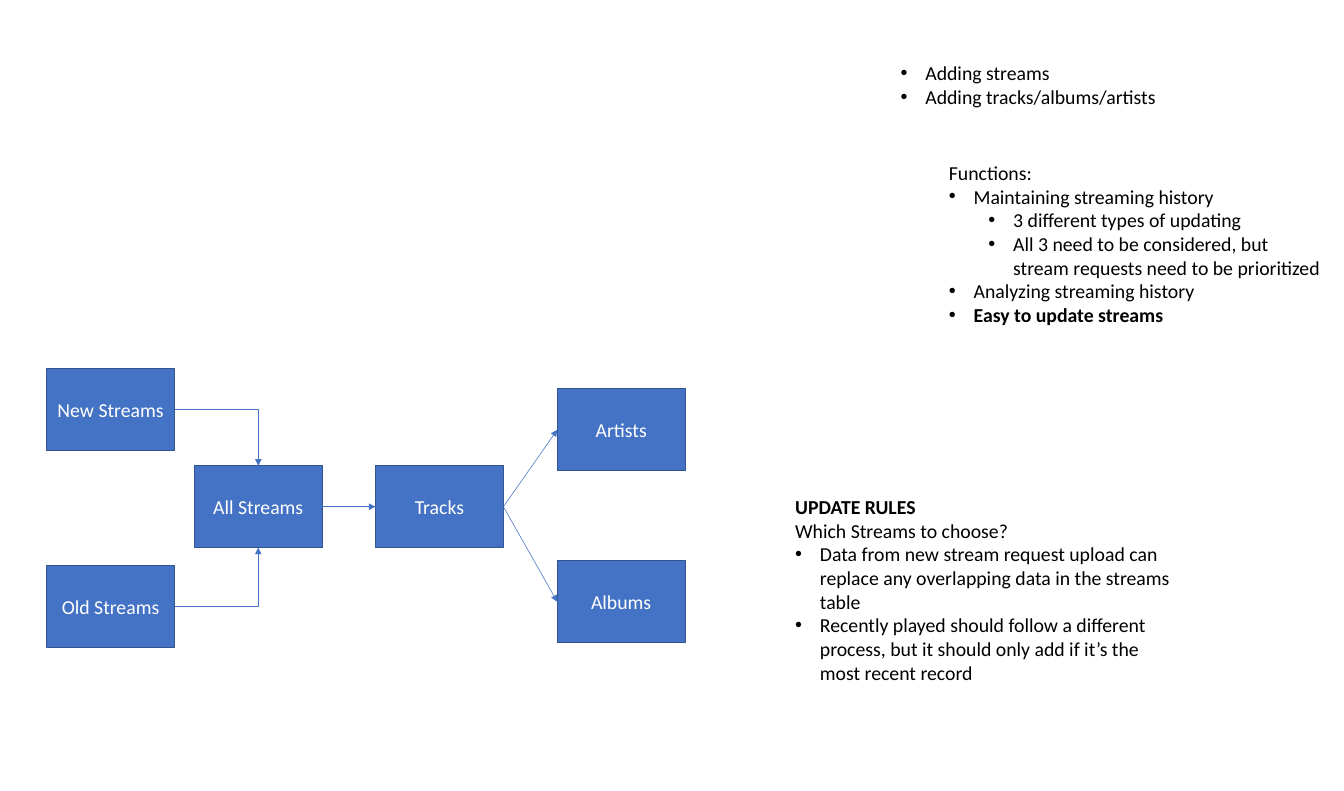
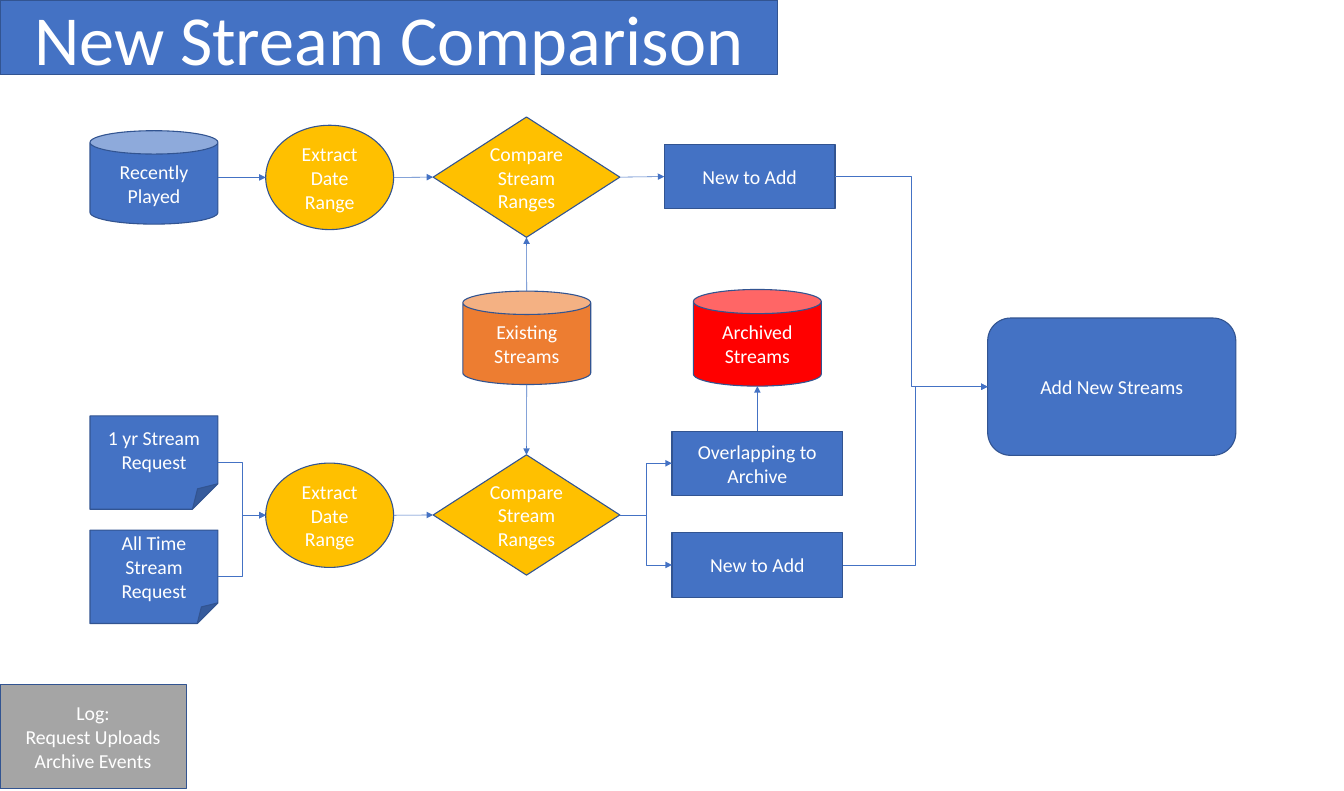
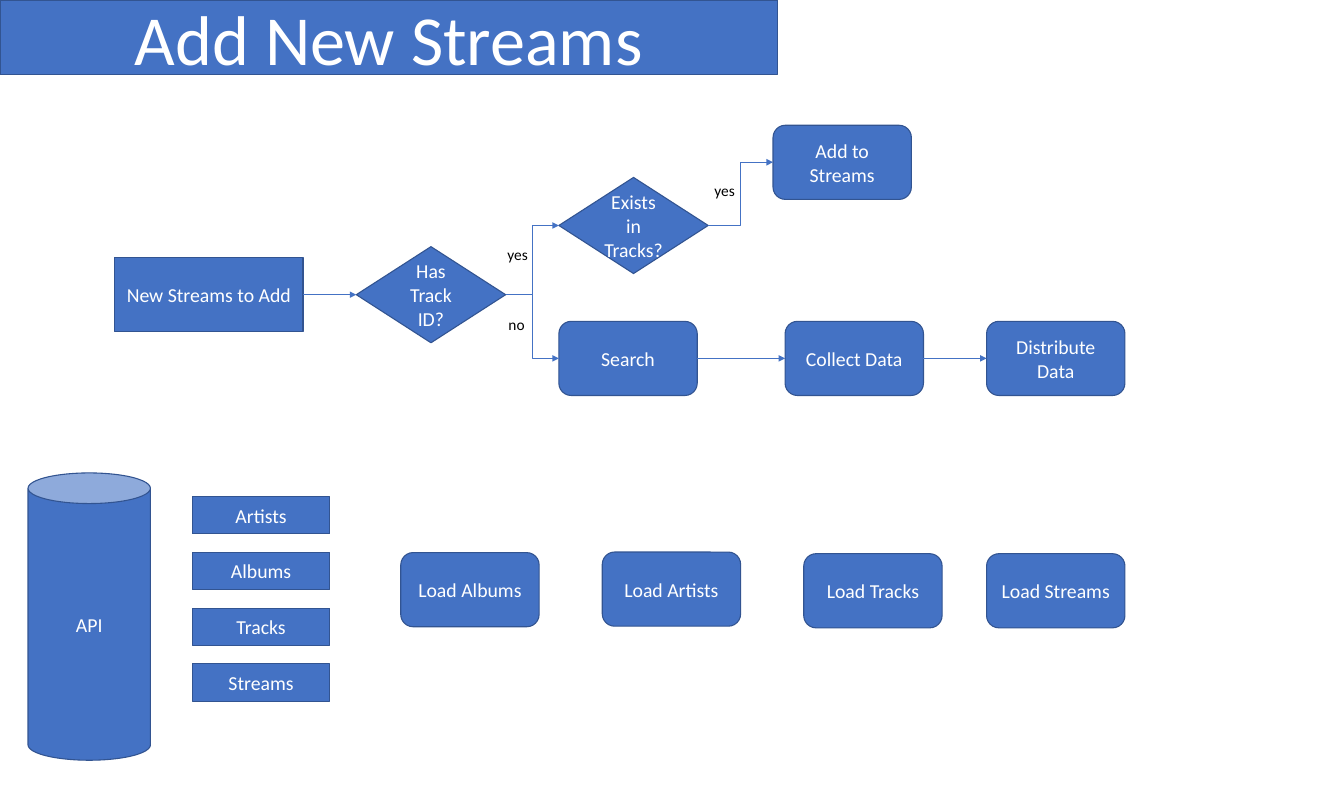
import pptx
import pptx.dml.color
import pptx.enum.shapes
import pptx.enum.text
import pptx.oxml
import pptx.oxml.ns
import pptx.util
import lxml.etree

Pt = pptx.util.Pt
RGB = pptx.dml.color.RGBColor.from_string
KIND = pptx.enum.shapes.MSO_SHAPE
WIRE = pptx.enum.shapes.MSO_CONNECTOR
qn = pptx.oxml.ns.qn
FACE = "Calibri"
HUES = {
    "blue": "4472C4",
    "edge": "325491",
    "gold": "FFC000",
    "rust": "ED7D31",
    "red": "FF0000",
    "gray": "A5A5A5",
    "white": "FFFFFF",
    "black": "000000",
}
SITES = {
    KIND.CAN: {"top": 1, "left": 2, "bottom": 3, "right": 4},
    KIND.OVAL: {"top": 0, "left": 2, "bottom": 4, "right": 6},
}
PLAIN = {"top": 0, "left": 1, "bottom": 2, "right": 3}
SIDES = {"top": (0.5, 0), "left": (0, 0.5), "bottom": (0.5, 1), "right": (1, 0.5)}


def paint(shape, text, box, hue="blue", size=18):
    shape.left, shape.top, shape.width, shape.height = [Pt(n) for n in box]
    shape.fill.solid()
    shape.fill.fore_color.rgb = RGB(HUES[hue])
    shape.line.color.rgb = RGB(HUES["edge"])
    shape.line.width = Pt(1)
    shape.shadow.inherit = False
    frame = shape.text_frame
    frame.text = text
    frame.word_wrap = True
    frame.auto_size = pptx.enum.text.MSO_AUTO_SIZE.NONE
    frame.vertical_anchor = pptx.enum.text.MSO_ANCHOR.MIDDLE
    for para in frame.paragraphs:
        para.alignment = pptx.enum.text.PP_ALIGN.CENTER
        para.font.name = FACE
        para.font.size = Pt(size)
        para.font.color.rgb = RGB(HUES["white"])
    return shape


def link(slide, wire, start, out, end, into):
    spots = []
    for shape, side in ((start, out), (end, into)):
        across, down = SIDES[side]
        spots += [int(shape.left + across * shape.width), int(shape.top + down * shape.height)]
    line = slide.shapes.add_connector(wire, *spots)
    line.line.color.rgb = RGB(HUES["blue"])
    line.line.width = Pt(0.5)
    props = line.element.spPr
    lxml.etree.SubElement(props.find(qn("a:ln")), qn("a:tailEnd"), type="triangle")
    lxml.etree.SubElement(props, qn("a:effectLst"))
    if wire == WIRE.ELBOW and into in ("top", "bottom"):
        props.find(qn("a:prstGeom")).set("prst", "bentConnector2")
    glue = line.element.find(".//" + qn("p:cNvCxnSpPr"))
    for tag, shape, side in (("a:stCxn", start, out), ("a:endCxn", end, into)):
        site = SITES.get(shape.auto_shape_type, PLAIN)[side]
        lxml.etree.SubElement(glue, qn(tag), id=str(shape.shape_id), idx=str(site))


deck = pptx.Presentation()
deck.slide_width, deck.slide_height = Pt(1224), Pt(720)

slide = deck.slides.add_slide(deck.slide_layouts[4])
nodes = {}
for text, x, y in (
    ("New Streams", 42.5, 335.5),
    ("Old Streams", 42.5, 515),
    ("All Streams", 177, 424),
    ("Tracks", 342, 424),
    ("Artists", 507.5, 354),
    ("Albums", 507.5, 510.5),
):
    shape = slide.shapes.add_shape(KIND.RECTANGLE, 0, 0, 0, 0)
    nodes[text] = paint(shape, text, (x, y, 116.5, 74.5))
for wire, start, out, end, into in (
    (WIRE.ELBOW, "New Streams", "right", "All Streams", "top"),
    (WIRE.ELBOW, "Old Streams", "right", "All Streams", "bottom"),
    (WIRE.STRAIGHT, "All Streams", "right", "Tracks", "left"),
    (WIRE.STRAIGHT, "Tracks", "right", "Artists", "left"),
    (WIRE.STRAIGHT, "Tracks", "right", "Albums", "left"),
):
    link(slide, wire, nodes[start], out, nodes[end], into)

INDENTS = {"head": 0, "item": 22.5, "sub": 58.5}
for index, x, y, high, lines in (
    (2, 813, 52, 73, (
        ("item", "Adding streams", False),
        ("item", "Adding tracks/albums/artists", False),
    )),
    (4, 857, 142.5, 160, (
        ("head", "Functions:", False),
        ("item", "Maintaining streaming history", False),
        ("sub", "3 different types of updating", False),
        ("sub", "All 3 need to be considered, but stream requests need to be prioritized", False),
        ("item", "Analyzing streaming history", False),
        ("item", "Easy to update streams", True),
    )),
    (1, 717, 446.5, 181.5, (
        ("head", "UPDATE RULES", True),
        ("head", "Which Streams to choose?", False),
        ("item", "Data from new stream request upload can replace any overlapping data in the streams table", False),
        ("item", "Recently played should follow a different process, but it should only add if it’s the most recent record", False),
    )),
):
    body = slide.placeholders[index]
    body.left, body.top, body.width, body.height = Pt(x), Pt(y), Pt(356), Pt(high)
    frame = body.text_frame
    frame.text = "\n".join(line[1] for line in lines)
    frame.word_wrap = True
    frame.auto_size = pptx.enum.text.MSO_AUTO_SIZE.NONE
    frame.vertical_anchor = pptx.enum.text.MSO_ANCHOR.TOP
    for para, (role, text, bold) in zip(frame.paragraphs, lines):
        para.level = int(role == "sub")
        para.space_before = Pt(0)
        para.line_spacing = 1.0
        props = para._p.get_or_add_pPr()
        props.set("marL", str(Pt(INDENTS[role])))
        if role == "head":
            props.set("indent", "0")
            lxml.etree.SubElement(props, qn("a:buNone"))
        else:
            props.set("indent", str(Pt(-22.5)))
            lxml.etree.SubElement(props, qn("a:buFont"), typeface="Arial")
            lxml.etree.SubElement(props, qn("a:buChar"), char="•")
        para.font.name = FACE
        para.font.size = Pt(18)
        para.font.bold = bold
        para.font.color.rgb = RGB(HUES["black"])
for index in (0, 3):
    spare = slide.placeholders[index].element
    spare.getparent().remove(spare)

flows = (
    ("New Stream Comparison", (
        ("year", KIND.FOLDED_CORNER, "1 yr Stream Request", (82, 378.5, 116.5, 85), "blue"),
        ("all", KIND.FOLDED_CORNER, "All Time Stream Request", (82, 482.5, 116.5, 85), "blue"),
        ("played", KIND.CAN, "Recently Played", (82, 119, 116.5, 85), "blue"),
        ("stored", KIND.CAN, "Existing Streams", (421.5, 265, 116.5, 85), "rust"),
        ("archive", KIND.CAN, "Archived Streams", (631.5, 263.5, 116.5, 88), "red"),
        ("range1", KIND.OVAL, "Extract Date Range", (242, 114, 116.5, 95), "gold"),
        ("range2", KIND.OVAL, "Extract Date Range", (242, 421.5, 116.5, 95), "gold"),
        ("match1", KIND.DIAMOND, "Compare Stream Ranges", (394.5, 106.5, 170, 109.5), "gold"),
        ("match2", KIND.DIAMOND, "Compare Stream Ranges", (394.5, 414, 170, 109.5), "gold"),
        ("new1", KIND.RECTANGLE, "New to Add", (605, 131.5, 155.5, 58.5), "blue"),
        ("over", KIND.RECTANGLE, "Overlapping to Archive", (612, 392.5, 155.5, 58.5), "blue"),
        ("new2", KIND.RECTANGLE, "New to Add", (612, 485, 155.5, 58.5), "blue"),
        ("add", KIND.ROUNDED_RECTANGLE, "Add New Streams", (899.5, 289.5, 226, 125), "blue"),
        ("log", KIND.RECTANGLE, "Log:\nRequest Uploads\nArchive Events", (0, 623, 169.5, 95), "gray"),
    ), (
        (WIRE.STRAIGHT, "played", "right", "range1", "left"),
        (WIRE.STRAIGHT, "range1", "right", "match1", "left"),
        (WIRE.STRAIGHT, "match1", "right", "new1", "left"),
        (WIRE.STRAIGHT, "stored", "top", "match1", "bottom"),
        (WIRE.STRAIGHT, "stored", "bottom", "match2", "top"),
        (WIRE.STRAIGHT, "range2", "right", "match2", "left"),
        (WIRE.STRAIGHT, "over", "top", "archive", "bottom"),
        (WIRE.ELBOW, "year", "right", "range2", "left"),
        (WIRE.ELBOW, "all", "right", "range2", "left"),
        (WIRE.ELBOW, "match2", "right", "over", "left"),
        (WIRE.ELBOW, "match2", "right", "new2", "left"),
        (WIRE.ELBOW, "new1", "right", "add", "left"),
        (WIRE.ELBOW, "new2", "right", "add", "left"),
    ), (), {"year": 27300, "all": 22100}),
    ("Add New Streams", (
        ("new", KIND.RECTANGLE, "New Streams to Add", (104.5, 234.5, 171.5, 67.5), "blue"),
        ("has", KIND.DIAMOND, "Has Track ID?", (324.5, 224.5, 136, 87.5), "blue"),
        ("known", KIND.DIAMOND, "Exists in Tracks?", (509, 161.5, 136, 87.5), "blue"),
        ("add", KIND.ROUNDED_RECTANGLE, "Add to Streams", (704, 114, 126, 67.5), "blue"),
        ("search", KIND.ROUNDED_RECTANGLE, "Search", (509, 292.5, 126, 67.5), "blue"),
        ("collect", KIND.ROUNDED_RECTANGLE, "Collect Data", (715, 292.5, 126, 67.5), "blue"),
        ("share", KIND.ROUNDED_RECTANGLE, "Distribute Data", (898.5, 292.5, 126, 67.5), "blue"),
        ("api", KIND.CAN, "API", (25.5, 430.5, 111.5, 261.5), "blue"),
        *((text, KIND.RECTANGLE, text, (175, 452 + 50.75 * row, 125.5, 34), "blue")
          for row, text in enumerate(("Artists", "Albums", "Tracks", "Streams"))),
        *((text, KIND.ROUNDED_RECTANGLE, text, (x, y, 126, 67.5), "blue")
          for text, x, y in (("Load Albums", 365, 503), ("Load Artists", 548.5, 502.5),
                             ("Load Tracks", 732, 504), ("Load Streams", 898.5, 504))),
    ), (
        (WIRE.STRAIGHT, "new", "right", "has", "left"),
        (WIRE.ELBOW, "has", "right", "known", "left"),
        (WIRE.ELBOW, "has", "right", "search", "left"),
        (WIRE.ELBOW, "known", "right", "add", "left"),
        (WIRE.STRAIGHT, "search", "right", "collect", "left"),
        (WIRE.STRAIGHT, "collect", "right", "share", "left"),
    ), (
        ("yes", 455, 219.5),
        ("yes", 643.5, 161.5),
        ("no", 456, 283),
    ), {}),
)

for title, parts, wires, labels, folds in flows:
    slide = deck.slides.add_slide(deck.slide_layouts[5])
    paint(slide.shapes.title, title, (0, 0, 708, 67.5), size=64)
    nodes = {}
    for name, kind, text, box, hue in parts:
        shape = slide.shapes.add_shape(kind, 0, 0, 0, 0)
        nodes[name] = paint(shape, text, box, hue)
    for name, fold in folds.items():
        guides = nodes[name].element.find(".//" + qn("a:avLst"))
        lxml.etree.SubElement(guides, qn("a:gd"), name="adj", fmla=f"val {fold}")
    for wire, start, out, end, into in wires:
        link(slide, wire, nodes[start], out, nodes[end], into)
    for text, x, y in labels:
        label = slide.shapes.add_textbox(Pt(x), Pt(y), Pt(36), Pt(24.5))
        label.text_frame.text = text
        label.text_frame.word_wrap = True
        para = label.text_frame.paragraphs[0]
        para.font.name = FACE
        para.font.size = Pt(14)
        para.font.color.rgb = RGB(HUES["black"])

deck.save("out.pptx")
